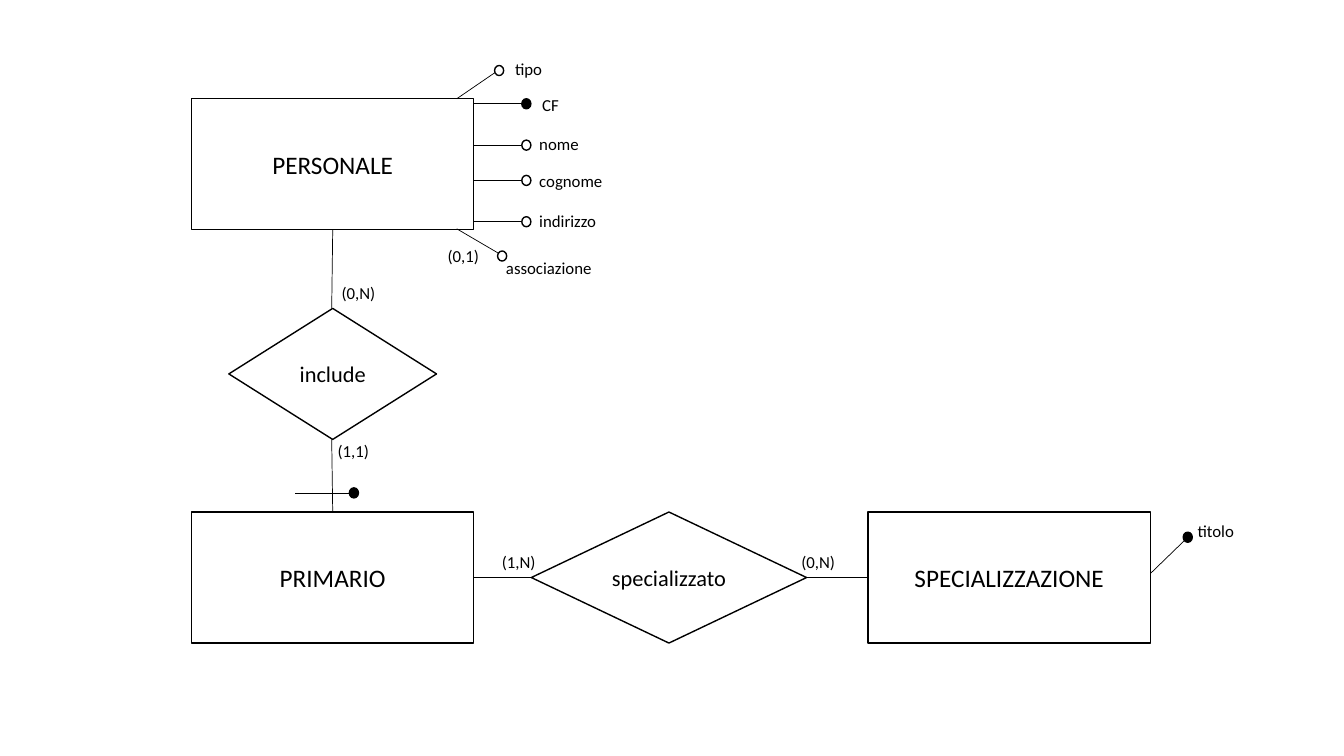
"""Entity-relationship diagram of staff, head physicians and specialisations."""
from dataclasses import dataclass
from typing import Optional

from pptx import Presentation
from pptx.dml.color import RGBColor
from pptx.enum.shapes import MSO_CONNECTOR as Connector, MSO_SHAPE as Preset
from pptx.enum.text import MSO_ANCHOR as Anchor, PP_ALIGN as Align
from pptx.oxml.ns import qn
from pptx.util import Inches, Pt
from lxml.etree import SubElement


@dataclass(frozen=True)
class Theme:
    ink: RGBColor = RGBColor(0, 0, 0)
    paper: RGBColor = RGBColor(255, 255, 255)
    font: str = "Calibri"
    entity_size: int = 18
    relation_size: int = 16
    label_size: int = 12
    outline: float = 1
    link: float = 0.5


@dataclass(frozen=True)
class Node:
    name: str
    left: float
    top: float
    width: float
    preset: Preset
    size: int


@dataclass(frozen=True)
class Label:
    text: str
    left: float
    top: float
    width: float


@dataclass(frozen=True)
class Link:
    x1: float
    y1: float
    x2: float
    y2: float


@dataclass(frozen=True)
class Attribute:
    link: Link
    x: float
    y: float
    label: Optional[Label] = None
    key: bool = False


THEME = Theme()
NODE_HEIGHT = 1.3
ENTITY_WIDTH = 2.8
KNOB_WIDTH, KNOB_HEIGHT = 0.09, 0.1
LABEL_HEIGHT = 0.3
STAFF_LEFT, STAFF_RIGHT = 1.9, 4.7
KNOB_EDGE, KNOB_CENTER = 5.17, 5.22
TOP_ROW, MIDDLE_ROW, BOTTOM_ROW = 0.98, 3.06, 5.08
BOTTOM_AXIS = BOTTOM_ROW + NODE_HEIGHT / 2


def entity(name: str, left: float, top: float) -> Node:
    return Node(name, left, top, ENTITY_WIDTH, Preset.RECTANGLE, THEME.entity_size)


def relation(name: str, left: float, top: float, width: float) -> Node:
    return Node(name, left, top, width, Preset.DIAMOND, THEME.relation_size)


def side_attribute(y: float, label: Label, key: bool = False) -> Attribute:
    return Attribute(Link(STAFF_RIGHT, y, KNOB_EDGE, y), KNOB_CENTER, y, label, key)


NODES = [
    entity("PERSONALE", STAFF_LEFT, TOP_ROW),
    entity("PRIMARIO", STAFF_LEFT, BOTTOM_ROW),
    entity("SPECIALIZZAZIONE", 8.61, BOTTOM_ROW),
    relation("include", 2.27, MIDDLE_ROW, 2.06),
    relation("specializzato", 5.27, BOTTOM_ROW, 2.73),
]

LINKS = [
    Link(3.3, TOP_ROW + NODE_HEIGHT, 3.29, MIDDLE_ROW),
    Link(3.29, MIDDLE_ROW + NODE_HEIGHT, 3.3, BOTTOM_ROW),
    Link(STAFF_RIGHT, BOTTOM_AXIS, 5.27, BOTTOM_AXIS),
    Link(8, BOTTOM_AXIS, 8.61, BOTTOM_AXIS),
]

ATTRIBUTES = [
    Attribute(Link(4.53, 0.98, 4.91, 0.72), 4.95, 0.7, Label("tipo", 5.01, 0.53, 0.47)),
    side_attribute(1.03, Label("CF", 5.28, 0.89, 0.37), key=True),
    side_attribute(1.44, Label("nome", 5.25, 1.28, 0.6)),
    side_attribute(1.79, Label("cognome", 5.25, 1.64, 0.84)),
    side_attribute(2.2, Label("indirizzo", 5.25, 2.04, 0.77)),
    Attribute(Link(4.53, 2.27, 4.94, 2.51), 4.98, 2.54,
              Label("associazione", 4.92, 2.51, 1.12)),
    Attribute(Link(11.41, 5.69, 11.75, 5.36), 11.78, 5.33,
              Label("titolo", 11.78, 5.12, 0.57), key=True),
    Attribute(Link(2.93, 4.89, 3.46, 4.89), 3.51, 4.89, key=True),
]

CARDINALITIES = [
    Label("(0,1)", 4.34, 2.39, 0.52),
    Label("(0,N)", 3.29, 2.76, 0.54),
    Label("(1,1)", 3.25, 4.32, 0.52),
    Label("(1,N)", 4.88, 5.42, 0.54),
    Label("(0,N)", 7.85, 5.42, 0.54),
]


def write(frame, text: str, size: int) -> None:
    frame.text = text
    for span in frame.paragraphs[0].runs:
        span.font.name = THEME.font
        span.font.size = Pt(size)
        span.font.color.rgb = THEME.ink


def draw_shape(page, preset: Preset, left: float, top: float, width: float,
               height: float, fill: RGBColor):
    shape = page.shapes.add_shape(
        preset, Inches(left), Inches(top), Inches(width), Inches(height))
    shape.shadow.inherit = False
    shape.fill.solid()
    shape.fill.fore_color.rgb = fill
    shape.line.color.rgb = THEME.ink
    shape.line.width = Pt(THEME.outline)
    return shape


def draw_node(page, node: Node) -> None:
    shape = draw_shape(page, node.preset, node.left, node.top, node.width,
                       NODE_HEIGHT, THEME.paper)
    write(shape.text_frame, node.name, node.size)
    shape.text_frame.vertical_anchor = Anchor.MIDDLE
    shape.text_frame.paragraphs[0].alignment = Align.CENTER


def draw_link(page, link: Link) -> None:
    line = page.shapes.add_connector(
        Connector.STRAIGHT, Inches(link.x1), Inches(link.y1),
        Inches(link.x2), Inches(link.y2))
    line.line.color.rgb = THEME.ink
    line.line.width = Pt(THEME.link)
    SubElement(line._element.spPr, qn("a:effectLst"))


def draw_label(page, label: Label) -> None:
    box = page.shapes.add_textbox(Inches(label.left), Inches(label.top),
                                  Inches(label.width), Inches(LABEL_HEIGHT))
    box.text_frame.word_wrap = False
    write(box.text_frame, label.text, THEME.label_size)


def draw_attribute(page, attribute: Attribute) -> None:
    draw_link(page, attribute.link)
    draw_shape(page, Preset.OVAL, attribute.x - KNOB_WIDTH / 2,
               attribute.y - KNOB_HEIGHT / 2, KNOB_WIDTH, KNOB_HEIGHT,
               THEME.ink if attribute.key else THEME.paper)
    if attribute.label:
        draw_label(page, attribute.label)


def main() -> None:
    deck = Presentation()
    deck.slide_width, deck.slide_height = Inches(13.33), Inches(7.5)
    page = deck.slides.add_slide(deck.slide_layouts[6])
    for node in NODES:
        draw_node(page, node)
    for link in LINKS:
        draw_link(page, link)
    for attribute in ATTRIBUTES:
        draw_attribute(page, attribute)
    for cardinality in CARDINALITIES:
        draw_label(page, cardinality)
    deck.save("out.pptx")


main()
